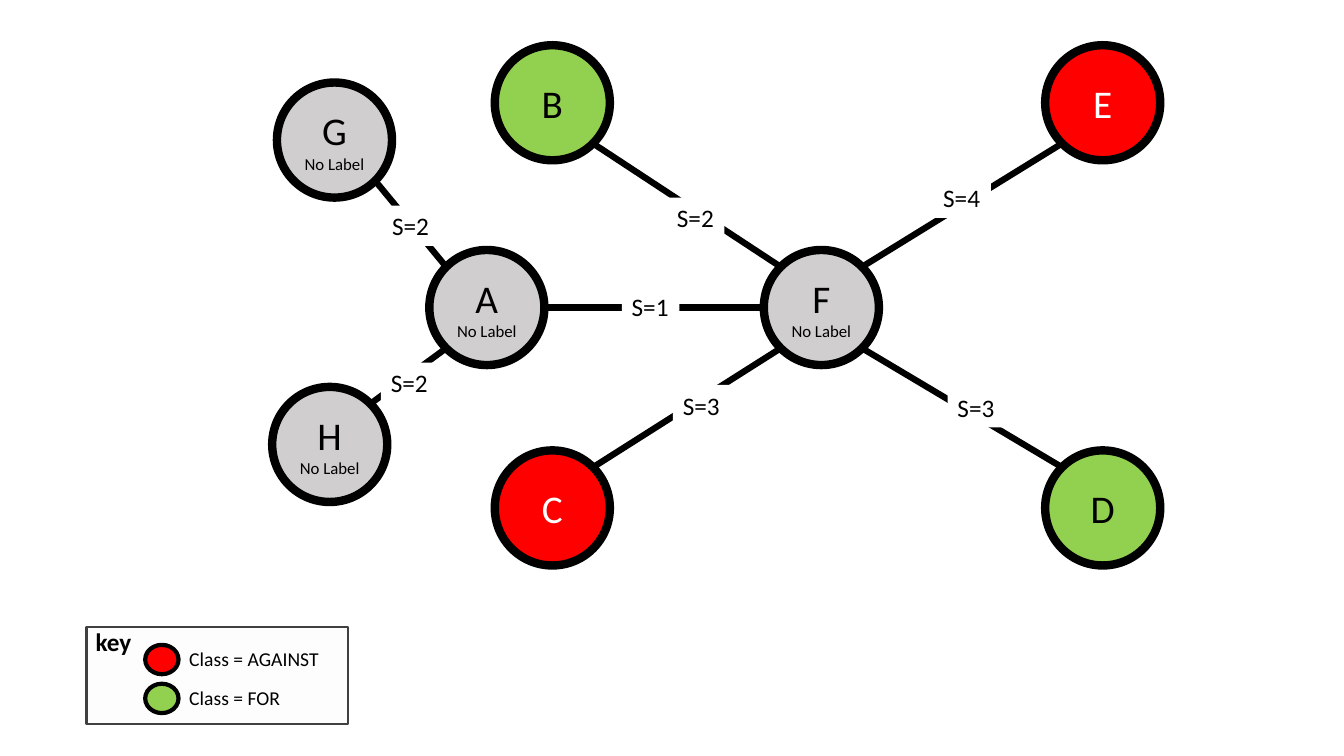
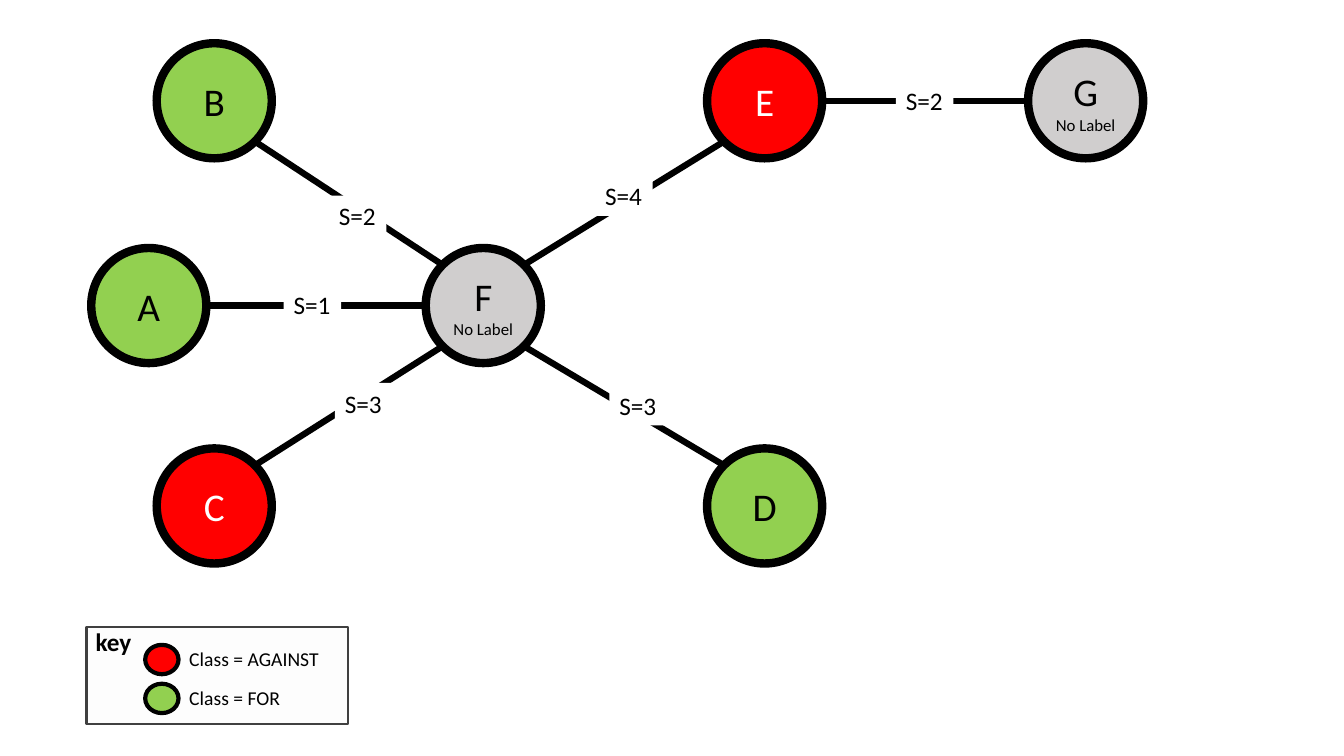
import math
from pptx import Presentation
from pptx.dml.color import RGBColor
from pptx.enum.shapes import MSO_CONNECTOR, MSO_SHAPE
from pptx.enum.text import MSO_ANCHOR, MSO_AUTO_SIZE, PP_ALIGN
from pptx.oxml.ns import qn
from pptx.util import Cm, Pt
from lxml import etree

OVAL, RECT = MSO_SHAPE.OVAL, MSO_SHAPE.RECTANGLE
STRAIGHT = MSO_CONNECTOR.STRAIGHT
MIDDLE, FIT = MSO_ANCHOR.MIDDLE, MSO_AUTO_SIZE.SHAPE_TO_FIT_TEXT
CENTER = PP_ALIGN.CENTER
BLACK = RGBColor(0x00, 0x00, 0x00)
WHITE = RGBColor(0xFF, 0xFF, 0xFF)
RED = RGBColor(0xFF, 0x00, 0x00)
GREEN = RGBColor(0x92, 0xD0, 0x50)
GREY = RGBColor(0xD0, 0xCE, 0xCE)
PANEL = RGBColor(0xF2, 0xF2, 0xF2)
PANEL_EDGE = RGBColor(0x40, 0x40, 0x40)
FONT = "Calibri"
DIAMETER = 2.9
RADIUS = DIAMETER / 2

HUB_NODES = {
    "B": (13.92, 2.59, GREEN),
    "C": (13.92, 12.8, RED),
    "D": (27.79, 12.8, GREEN),
    "E": (27.79, 2.59, RED),
    "F": (20.7, 7.75, GREY),
}
HUB_EDGES = [
    ("B", "F", "S=2", 16.81, 4.98),
    ("A", "F", "S=1", 15.67, 7.22),
    ("C", "F", "S=3", 16.96, 9.7),
    ("D", "F", "S=3", 23.88, 9.75),
    ("E", "F", "S=4", 23.52, 4.47),
]
GRAPHS = [
    {
        "shift": (0, 0),
        "nodes": {"A": (12.27, 7.75, GREY), "G": (8.43, 3.53, GREY), "H": (8.31, 11.2, GREY)},
        "edges": [("G", "A", "S=2", 9.63, 5.18), ("H", "A", "S=2", 9.6, 9.14)],
    },
    {
        "shift": (-8.52, -0.05),
        "nodes": {"A": (12.27, 7.75, GREEN), "G": (35.88, 2.59, GREY)},
        "edges": [("G", "E", "S=2", 31.1, 2.08)],
    },
]
KEY_ROWS = [
    (RED, "Class = AGAINST", 16.18, 3.81),
    (GREEN, "Class = FOR", 17.16, 2.82),
]


def add_box(s, kind, x, y, w, h, fill, edge, weight):
    sp = s.shapes.add_shape(kind, Cm(x), Cm(y), Cm(w), Cm(h))
    sp.shadow.inherit = False
    sp.fill.solid()
    sp.fill.fore_color.rgb = fill
    sp.line.color.rgb = edge
    sp.line.width = Pt(weight)
    return sp


def add_label(s, text, x, y, w, h, size, bold=False):
    sp = s.shapes.add_textbox(Cm(x), Cm(y), Cm(w), Cm(h))
    tf = sp.text_frame
    tf.word_wrap = False
    tf.auto_size = FIT
    r = tf.paragraphs[0].add_run()
    r.text = text
    for name, value in {"name": FONT, "size": Pt(size), "bold": bold}.items():
        setattr(r.font, name, value)
    r.font.color.rgb = BLACK
    return sp


prs = Presentation()
prs.slide_width, prs.slide_height = Cm(33.87), Cm(19.05)

for graph in GRAPHS:
    s = prs.slides.add_slide(prs.slide_layouts[6])
    shift_x, shift_y = graph["shift"]
    nodes = HUB_NODES | graph["nodes"]
    edges = HUB_EDGES + graph["edges"]

    for start, end, *_ in edges:
        x1, y1, _ = nodes[start]
        x2, y2, _ = nodes[end]
        angle = round(math.atan2(y2 - y1, x2 - x1) / (math.pi / 4)) * math.pi / 4
        reach_x, reach_y = RADIUS * math.cos(angle), RADIUS * math.sin(angle)
        line = s.shapes.add_connector(
            STRAIGHT,
            Cm(x1 + reach_x + shift_x), Cm(y1 + reach_y + shift_y),
            Cm(x2 - reach_x + shift_x), Cm(y2 - reach_y + shift_y),
        )
        line.line.color.rgb = BLACK
        line.line.width = Pt(4.5)
        etree.SubElement(line._element.spPr, qn("a:effectLst"))

    for letter, (x, y, fill) in nodes.items():
        sp = add_box(s, OVAL, x - RADIUS + shift_x, y - RADIUS + shift_y,
                     DIAMETER, DIAMETER, fill, BLACK, 6)
        tf = sp.text_frame
        tf.vertical_anchor = MIDDLE
        tf.margin_left = tf.margin_right = 0
        lines = [(letter, 28)] + ([("No Label", 12)] if fill == GREY else [])
        for i, (text, size) in enumerate(lines):
            p = tf.add_paragraph() if i else tf.paragraphs[0]
            p.alignment = CENTER
            r = p.add_run()
            r.text = text
            r.font.name = FONT
            r.font.size = Pt(size)
            r.font.color.rgb = WHITE if fill == RED else BLACK

    for _, _, score, x, y in edges:
        label = add_label(s, score, x + shift_x, y + shift_y, 1.45, 1.02, 18)
        label.fill.solid()
        label.fill.fore_color.rgb = WHITE

    panel = add_box(s, RECT, 2.18, 15.8, 6.6, 2.44, PANEL, PANEL_EDGE, 1.5)
    color = panel._element.spPr.find(qn("a:solidFill"))[0]
    etree.SubElement(color, qn("a:alpha"), val="14000")
    add_label(s, "key", 2.16, 15.67, 1.42, 1.02, 18, bold=True)
    for fill, text, y, width in KEY_ROWS:
        add_box(s, OVAL, 3.66, y + 0.07, 0.84, 0.74, fill, BLACK, 3)
        add_label(s, text, 4.52, y, width, 0.86, 14)

prs.save("out.pptx")
